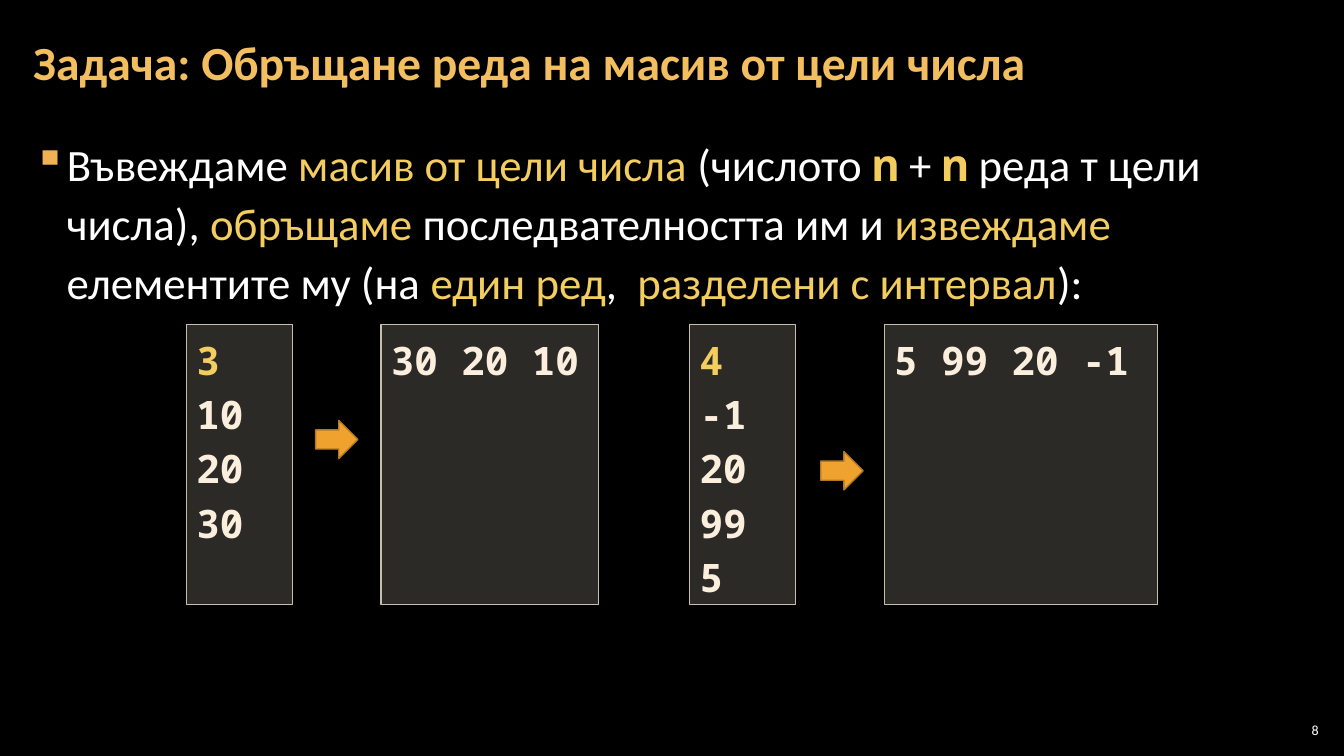
from dataclasses import dataclass

from lxml import etree
from pptx import Presentation
from pptx.dml.color import RGBColor
from pptx.enum.shapes import MSO_SHAPE
from pptx.enum.text import MSO_ANCHOR, PP_ALIGN
from pptx.oxml.ns import qn
from pptx.util import Inches, Pt

RECT, ARROW = MSO_SHAPE.RECTANGLE, MSO_SHAPE.RIGHT_ARROW
TOP, MIDDLE = MSO_ANCHOR.TOP, MSO_ANCHOR.MIDDLE
LEFT, RIGHT = PP_ALIGN.LEFT, PP_ALIGN.RIGHT


@dataclass(frozen=True)
class Theme:
    background: str = "000000"
    text: str = "FFFFFF"
    title: str = "F3BE60"
    accent: str = "F3CD60"
    bullet: str = "F2B254"
    code: str = "FBEEDC"
    box_fill: str = "D9D5C7"
    box_line: str = "C7BFAC"
    arrow_fill: str = "F0A22E"
    arrow_line: str = "B27822"
    body_font: str = "Calibri"
    code_font: str = "Noto Sans Mono"
    title_size: int = 34
    body_size: int = 32
    code_size: int = 28
    number_size: int = 10


def rgb(color):
    return RGBColor.from_string(color)


def set_font(font, name, size, color, bold=False):
    font.name = name
    font.size = Pt(size)
    font.color.rgb = rgb(color)
    font.bold = bold


class SlideBuilder:
    def __init__(self, prs, theme):
        self.theme = theme
        self.slide = prs.slides.add_slide(prs.slide_layouts[6])
        fill = self.slide.background.fill
        fill.solid()
        fill.fore_color.rgb = rgb(theme.background)

    def text_box(self, x, y, w, h, margin_x=0.12, anchor=TOP):
        sp = self.slide.shapes.add_textbox(Inches(x), Inches(y), Inches(w), Inches(h))
        tf = sp.text_frame
        tf.word_wrap = True
        tf.vertical_anchor = anchor
        tf.margin_left = tf.margin_right = Inches(margin_x)
        tf.margin_top = tf.margin_bottom = Inches(0.04)
        return tf.paragraphs[0]

    def title(self, text, x, y, w, h):
        t = self.theme
        p = self.text_box(x, y, w, h, anchor=MIDDLE)
        p.text = text
        p.line_spacing = 0.9
        set_font(p.font, t.body_font, t.title_size, t.title, True)

    def number(self, text, x, y, w, h):
        t = self.theme
        p = self.text_box(x, y, w, h, 0.04, MIDDLE)
        p.text = text
        p.alignment = RIGHT
        set_font(p.font, t.body_font, t.number_size, t.text)

    def bullet(self, runs, x, y, w, h):
        t = self.theme
        styles = {
            "plain": (t.body_font, t.body_size, t.text),
            "accent": (t.body_font, t.body_size, t.accent),
            "code": (t.code_font, t.body_size, t.accent, True),
        }
        p = self.text_box(x, y, w, h)
        p.line_spacing = 1.1
        p.space_before = p.space_after = Pt(6)
        p_pr = p._p.get_or_add_pPr()
        p_pr.set("marL", str(Inches(0.33)))
        p_pr.set("indent", str(-Inches(0.33)))
        bu_clr = etree.SubElement(p_pr, qn("a:buClr"))
        etree.SubElement(bu_clr, qn("a:srgbClr"), val=t.bullet)
        etree.SubElement(p_pr, qn("a:buChar"), char="▪")
        for text, style in runs:
            r = p.add_run()
            r.text = text
            set_font(r.font, *styles[style])

    def shape(self, kind, x, y, w, h, fill, line):
        sp = self.slide.shapes.add_shape(kind, Inches(x), Inches(y), Inches(w), Inches(h))
        sp.shadow.inherit = False
        sp.fill.solid()
        sp.fill.fore_color.rgb = rgb(fill)
        sp.line.color.rgb = rgb(line)
        sp.line.width = Pt(1)
        return sp

    def code_box(self, lines, x, y, w, h, accent_first=False):
        t = self.theme
        sp = self.shape(RECT, x, y, w, h, t.box_fill, t.box_line)
        color = sp._element.spPr.find(qn("a:solidFill"))[0]
        etree.SubElement(color, qn("a:alpha"), val="20000")
        tf = sp.text_frame
        tf.word_wrap = True
        tf.vertical_anchor = TOP
        for i, line in enumerate(lines):
            p = tf.add_paragraph() if i else tf.paragraphs[0]
            p.text = line
            p.alignment = LEFT
            p.line_spacing = 1.15
            ink = t.accent if accent_first and i == 0 else t.code
            set_font(p.font, t.code_font, t.code_size, ink, True)

    def arrow(self, x, y):
        self.shape(ARROW, x, y, 0.42, 0.38, self.theme.arrow_fill, self.theme.arrow_line)

    def example(self, x, numbers, result, result_width, arrow_x, arrow_y):
        top, height = 3.22, 2.78
        self.code_box(numbers, x, top, 1.05, height, accent_first=True)
        self.code_box([result], x + 1.93, top, result_width, height)
        self.arrow(arrow_x, arrow_y)


def main():
    prs = Presentation()
    prs.slide_width, prs.slide_height = Inches(13.33), Inches(7.5)
    s = SlideBuilder(prs, Theme())
    s.number("8", 12.65, 7.14, 0.47, 0.21)
    s.bullet([
        ("Въвеждаме ", "plain"),
        ("масив от цели числа", "accent"),
        (" (числото ", "plain"),
        ("n", "code"),
        (" + ", "plain"),
        ("n", "code"),
        (" реда т цели числа), ", "plain"),
        ("обръщаме ", "accent"),
        ("последвателността им и ", "plain"),
        ("извеждаме ", "accent"),
        ("елементите му (на ", "plain"),
        ("един ред", "accent"),
        (", ", "plain"),
        (" разделени с интервал", "accent"),
        ("):", "plain"),
    ], 0.21, 1.26, 12.91, 6.09)
    s.title("Задача: Обръщане реда на масив от цели числа", 0.21, 0.04, 10.47, 1.21)
    s.example(1.85, ["3", "10", "20", "30"], "30 20 10", 2.16, 3.13, 4.17)
    s.example(6.84, ["4", "-1", "20", "99", "5"], "5 99 20 -1", 2.71, 8.14, 4.48)
    prs.save("out.pptx")


if __name__ == "__main__":
    main()
